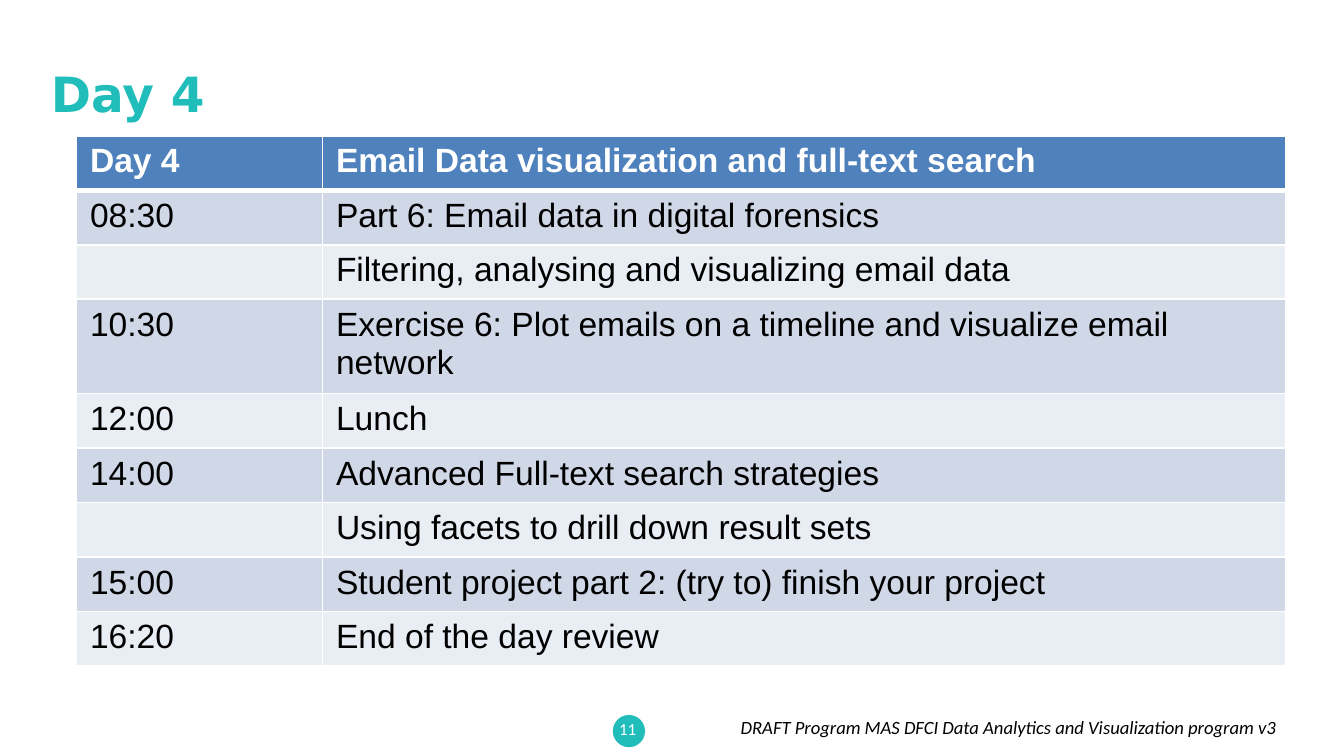
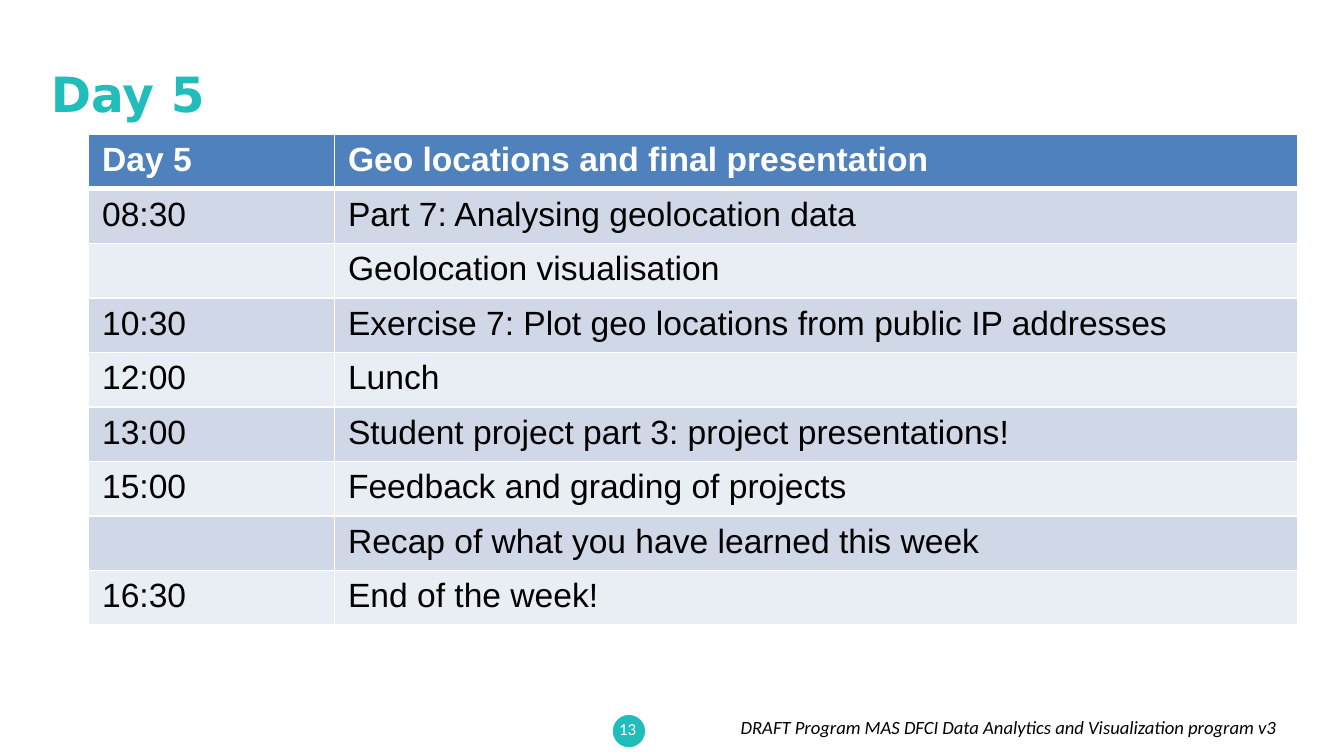
from dataclasses import dataclass

from lxml import etree
from pptx import Presentation
from pptx import util as u
from pptx.dml.color import RGBColor
from pptx.enum import shapes, text
from pptx.oxml import ns


@dataclass(frozen=True)
class Theme:
    # Colours
    accent: str = "20BDBA"
    header: str = "4F81BD"
    bands: tuple = ("D0D8E8", "E9EDF4")
    light: str = "FFFFFF"
    dark: str = "000000"
    # Fonts and type sizes
    title_font: str = "DejaVu Sans"
    table_font: str = "Arial"
    footer_font: str = "Calibri"
    title_size: int = 26
    table_size: int = 18
    footer_size: int = 10
    number_size: int = 9
    # Border widths in points
    border: int = 1
    header_border: int = 3


THEME = Theme()
FOOTER = "DRAFT Program MAS DFCI Data Analytics and Visualization program v3"
COLUMN_WIDTHS = (1.83, 7.17)
TABLE_HEIGHT = 3.65

# Each day: title, page number, table position, topic and schedule
DAYS = [
    ("Day 4", 11, (0.57, 1.01), "Email Data visualization and full-text search", [
        ("08:30", "Part 6: Email data in digital forensics"),
        ("", "Filtering, analysing and visualizing email data"),
        ("10:30", "Exercise 6: Plot emails on a timeline and visualize email network"),
        ("12:00", "Lunch"),
        ("14:00", "Advanced Full-text search strategies"),
        ("", "Using facets to drill down result sets"),
        ("15:00", "Student project part 2: (try to) finish your project"),
        ("16:20", "End of the day review"),
    ]),
    ("Day 5", 13, (0.66, 1), "Geo locations and final presentation", [
        ("08:30", "Part 7: Analysing geolocation data"),
        ("", "Geolocation visualisation"),
        ("10:30", "Exercise 7: Plot geo locations from public IP addresses"),
        ("12:00", "Lunch"),
        ("13:00", "Student project part 3: project presentations!"),
        ("15:00", "Feedback and grading of projects"),
        ("", "Recap of what you have learned this week"),
        ("16:30", "End of the week!"),
    ]),
]


def inches(*lengths):
    return [u.Inches(length) for length in lengths]


def format_runs(paragraph, font, size, color, bold=False, italic=False):
    for run in paragraph.runs:
        run.font.name = font
        run.font.size = u.Pt(size)
        run.font.color.rgb = RGBColor.from_string(color)
        run.font.bold = bold
        run.font.italic = italic


def add_text(slide, words, box, align, anchor, **style):
    frame = slide.shapes.add_textbox(*inches(*box)).text_frame
    frame.word_wrap = True
    frame.vertical_anchor = anchor
    frame.text = words
    paragraph = frame.paragraphs[0]
    paragraph.alignment = align
    format_runs(paragraph, **style)


def add_title(slide, words):
    add_text(slide, words, (0.28, 0.22, 9, 0.94),
             text.PP_ALIGN.LEFT, text.MSO_ANCHOR.MIDDLE,
             font=THEME.title_font, size=THEME.title_size,
             color=THEME.accent, bold=True)


def add_page_number(slide, number):
    badge = slide.shapes.add_shape(shapes.MSO_SHAPE.OVAL,
                                   *inches(4.56, 5.32, 0.24, 0.24))
    badge.shadow.inherit = False
    badge.fill.solid()
    badge.fill.fore_color.rgb = RGBColor.from_string(THEME.accent)
    badge.line.fill.background()
    add_text(slide, str(number), (4.45, 5.27, 0.44, 0.3),
             text.PP_ALIGN.CENTER, text.MSO_ANCHOR.MIDDLE,
             font=THEME.footer_font, size=THEME.number_size, color=THEME.light)


def add_footer(slide):
    add_text(slide, FOOTER, (4.86, 5.28, 4.73, 0.3),
             text.PP_ALIGN.RIGHT, text.MSO_ANCHOR.TOP,
             font=THEME.footer_font, size=THEME.footer_size,
             color=THEME.dark, italic=True)


def set_borders(cell, top, bottom):
    properties = cell._tc.get_or_add_tcPr()
    widths = {"a:lnL": THEME.border, "a:lnR": THEME.border,
              "a:lnT": top, "a:lnB": bottom}
    for tag, width in widths.items():
        line = etree.SubElement(properties, ns.qn(tag), w=str(u.Pt(width)))
        fill = etree.SubElement(line, ns.qn("a:solidFill"))
        etree.SubElement(fill, ns.qn("a:srgbClr"), val=THEME.light)


def format_cell(cell, words, row):
    is_header = row == 0
    # Borders come before the fill in the cell properties
    set_borders(cell,
                top=THEME.header_border if row == 1 else THEME.border,
                bottom=THEME.header_border if is_header else THEME.border)
    cell.fill.solid()
    fill = THEME.header if is_header else THEME.bands[(row - 1) % 2]
    cell.fill.fore_color.rgb = RGBColor.from_string(fill)
    # Cells without a time stay empty
    if words:
        cell.text_frame.text = words
        format_runs(cell.text_frame.paragraphs[0], THEME.table_font,
                    THEME.table_size, THEME.light if is_header else THEME.dark,
                    bold=is_header)


def add_schedule(slide, position, rows):
    size = (sum(COLUMN_WIDTHS), TABLE_HEIGHT)
    table = slide.shapes.add_table(len(rows), len(COLUMN_WIDTHS),
                                   *inches(*position, *size)).table
    for column, width in zip(table.columns, COLUMN_WIDTHS):
        column.width = u.Inches(width)
    # Rows share the table height equally
    for row, entries in enumerate(rows):
        for column, words in enumerate(entries):
            format_cell(table.cell(row, column), words, row)


def main():
    presentation = Presentation()
    # Widescreen, 16:9
    presentation.slide_width = u.Inches(10)
    presentation.slide_height = presentation.slide_width * 9 // 16
    blank = presentation.slide_layouts[6]
    for title, number, position, topic, schedule in DAYS:
        slide = presentation.slides.add_slide(blank)
        add_page_number(slide, number)
        add_schedule(slide, position, [(title, topic), *schedule])
        add_title(slide, title)
        add_footer(slide)
    presentation.save("out.pptx")


if __name__ == "__main__":
    main()
